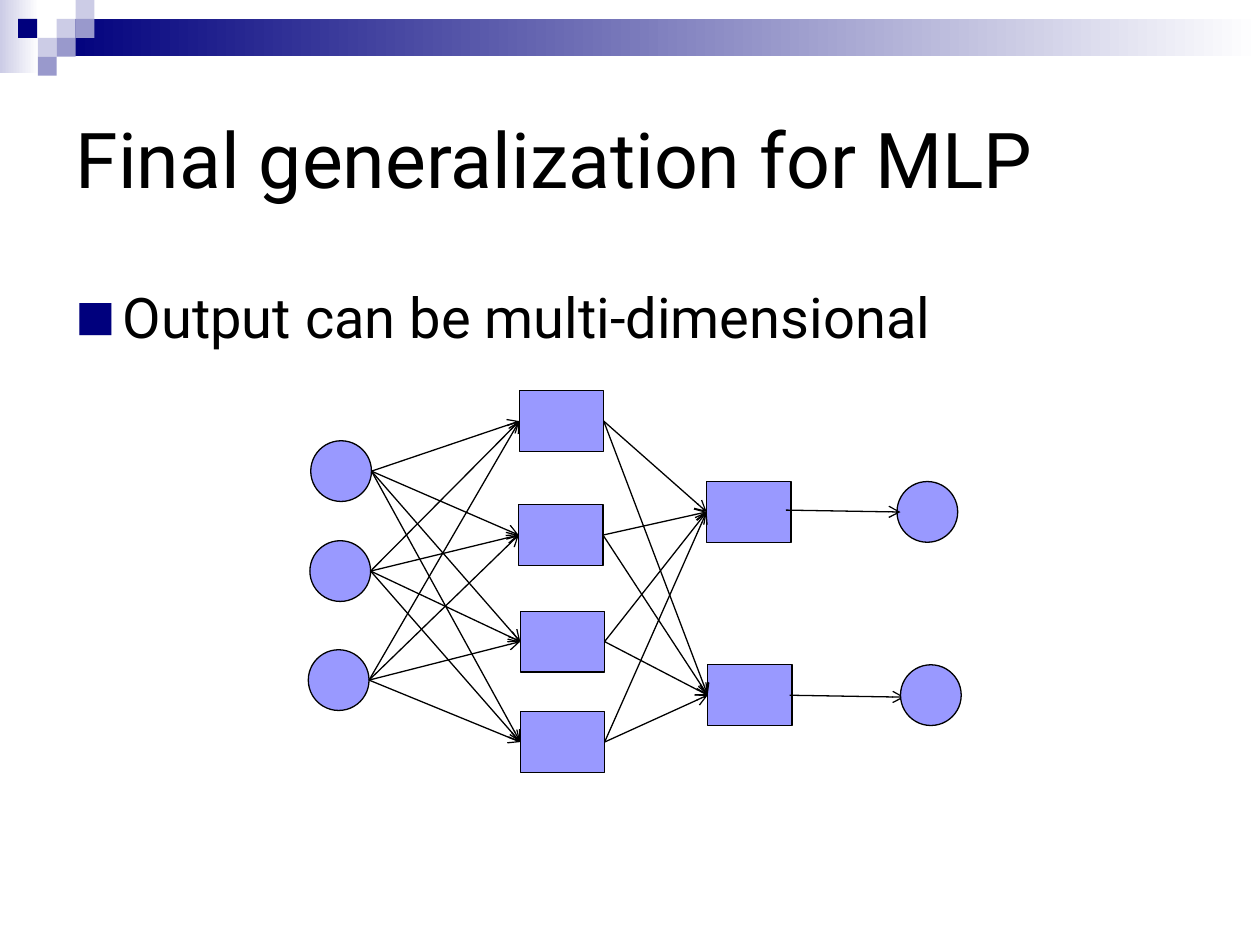
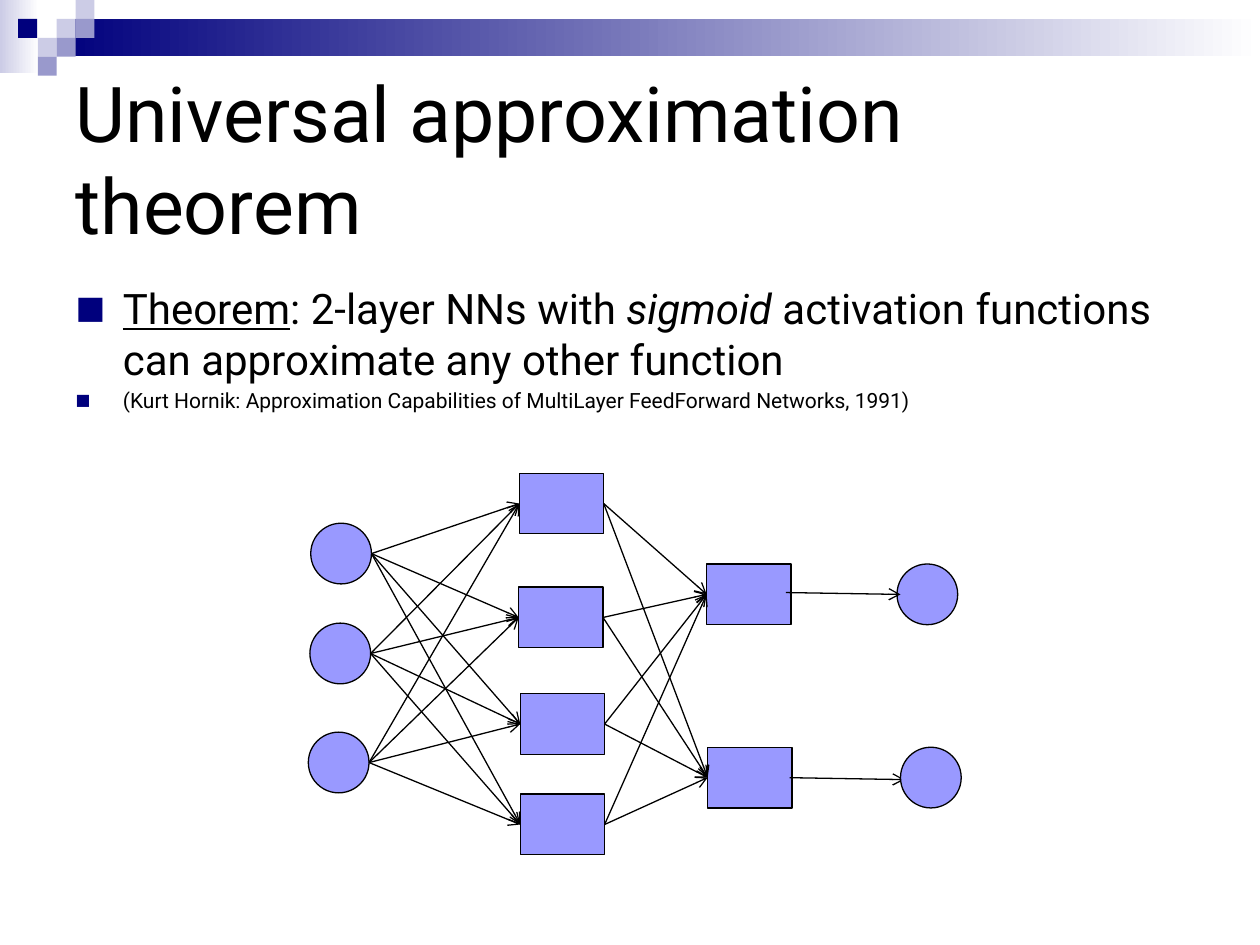
from lxml import etree
from pptx import Presentation
from pptx import util as u
from pptx.dml.color import RGBColor
from pptx.enum import shapes as kinds, text as txt
from pptx.oxml import ns

FONT = "Roboto"
BLACK, NAVY, PALE, MID, WHITE = "000000", "00007D", "CCCCE6", "9999CC", "FFFFFF"
NODE = "9999FF"
RECT, OVAL = kinds.MSO_SHAPE.RECTANGLE, kinds.MSO_SHAPE.OVAL
TOP, LEFT, RIGHT = 0, 1, 3
CELL = 10.8
CELLS = [(32.4, 10.8, PALE), (43.2, 0, PALE), (43.2, 10.8, MID), (21.6, 21.6, PALE),
         (10.4, 10.8, NAVY), (32.4, 21.6, MID), (21.6, 32.4, MID)]
DISC = 34.7
BOX_W, BOX_H = 48.2, 34.7
INPUTS = [(1.4, 28.6), (0.9, 85.7), (0, 148)]
HIDDEN = [(120.6, 0), (120.2, 65.1), (121.1, 126), (121.1, 183.4)]
FINAL = [(227.6, 51.9), (228.2, 156.6)]
OUTPUTS = [(336.4, 51.9), (338.4, 156.6)]
LINKS = [(272.9, 68.2, 338.4, 69.3), (275, 174, 340.6, 175.1)]


def hue(code):
    """Turn a hex string into a colour."""
    return RGBColor.from_string(code)


def add(parent, kind, x, y, wide, high, fill=None):
    """Add a flat shape without an outline."""
    shape = parent.shapes.add_shape(kind, u.Pt(x), u.Pt(y), u.Pt(wide), u.Pt(high))
    shape.shadow.inherit = False
    shape.line.fill.background()
    if fill:
        shape.fill.solid()
        shape.fill.fore_color.rgb = hue(fill)
    return shape


def fade(shape, start):
    """Fill a shape with a fade from a colour to white."""
    shape.fill.gradient()
    shape.fill.gradient_angle = 0
    for stop, code in zip(shape.fill.gradient_stops, (start, WHITE)):
        stop.color.rgb = hue(code)


def add_band(deck, slide):
    """Build the top band and move it to the master."""
    group = slide.shapes.add_group_shape()
    fade(add(group, RECT, 0, 0, 22.3, 41.8), PALE)
    fade(add(group, RECT, 32.4, 10.8, 687.6, 21.4), NAVY)
    for x, y, code in CELLS:
        add(group, RECT, x, y, CELL, CELL, code)
    deck.slide_master.shapes.element.insert(2, group.element)


def place(holder, x, y, wide, high):
    """Move a placeholder and return its text frame."""
    holder.left, holder.top = u.Pt(x), u.Pt(y)
    holder.width, holder.height = u.Pt(wide), u.Pt(high)
    frame = holder.text_frame
    frame.word_wrap = True
    frame.auto_size = txt.MSO_AUTO_SIZE.NONE
    return frame


def style(run, size):
    """Give a run the deck font."""
    run.font.name, run.font.size = FONT, u.Pt(size)
    run.font.color.rgb = hue(BLACK)


def bullet(para):
    """Give a paragraph a hanging navy square."""
    props = para._p.get_or_add_pPr()
    props.set("marL", str(u.Pt(27)))
    props.set("indent", str(u.Pt(-27)))
    tint = etree.SubElement(props, ns.qn("a:buClr"))
    etree.SubElement(tint, ns.qn("a:srgbClr"), val=NAVY)
    etree.SubElement(props, ns.qn("a:buSzPct"), val="75000")
    etree.SubElement(props, ns.qn("a:buFont"), typeface=FONT)
    etree.SubElement(props, ns.qn("a:buChar"), char="■")


def add_title(slide, words):
    """Fill the title placeholder."""
    frame = place(slide.shapes.title, 36, 36, 648, 108)
    frame.text = words
    frame.vertical_anchor = txt.MSO_ANCHOR.MIDDLE
    para = frame.paragraphs[0]
    para.alignment = txt.PP_ALIGN.LEFT
    style(para.runs[0], 44)


def add_list(slide, items):
    """Fill the body with (size, [(words, look)]) items."""
    frame = place(slide.placeholders[1], 36, 158, 648, 102)
    for i, (size, parts) in enumerate(items):
        para = frame.add_paragraph() if i else frame.paragraphs[0]
        bullet(para)
        para.space_before = u.Pt(0.2 * size if i else 0)
        for words, look in parts:
            run = para.add_run()
            run.text = words
            style(run, size)
            run.font.underline = look == "under"
            run.font.italic = look == "slant"


def add_node(slide, kind, x, y):
    """Add an outlined network node."""
    wide, high = (DISC, DISC) if kind == OVAL else (BOX_W, BOX_H)
    node = add(slide, kind, x, y, wide, high, NODE)
    node.line.color.rgb = hue(BLACK)
    node.line.width = u.Pt(0.75)
    return node


def add_arrow(slide, x, y, end_x, end_y):
    """Add a thin arrow between two points."""
    arrow = slide.shapes.add_connector(
        kinds.MSO_CONNECTOR.STRAIGHT, u.Pt(x), u.Pt(y), u.Pt(end_x), u.Pt(end_y))
    arrow.line.color.rgb = hue(BLACK)
    arrow.line.width = u.Pt(0.75)
    props = arrow.element.spPr
    etree.SubElement(props.find(ns.qn("a:ln")), ns.qn("a:tailEnd"), type="arrow")
    etree.SubElement(props, ns.qn("a:effectLst"))
    return arrow


def add_net(slide, left, top):
    """Draw the two-layer network from its top left corner."""
    def layer(kind, spots):
        """Add the nodes of one layer."""
        return [add_node(slide, kind, left + x, top + y) for x, y in spots]

    def link(x, y, end_x, end_y):
        """Add an arrow within the network."""
        add_arrow(slide, left + x, top + y, left + end_x, top + end_y)

    layer(OVAL, INPUTS)
    hidden, final = layer(RECT, HIDDEN), layer(RECT, FINAL)
    for x, y in INPUTS:
        start = left + x + DISC, top + y + DISC / 2
        for node in hidden:
            add_arrow(slide, *start, *start).end_connect(node, LEFT)
    for node in hidden:
        for goal in final:
            arrow = add_arrow(slide, left, top, left, top)
            arrow.begin_connect(node, RIGHT)
            arrow.end_connect(goal, LEFT)
    layer(OVAL, OUTPUTS[:1])
    for ends in LINKS:
        link(*ends)
    layer(OVAL, OUTPUTS[1:])


def add_page(deck, title, items, net_top):
    """Add a slide with a title, a list and the network."""
    slide = deck.slides.add_slide(deck.slide_layouts[1])
    add_title(slide, title)
    add_list(slide, items)
    add_net(slide, 176.2, net_top)
    return slide


def main():
    """Build and save the deck."""
    deck = Presentation()
    deck.slide_width, deck.slide_height = u.Pt(720), u.Pt(540)
    first = add_page(deck, "Final generalization for MLP",
                     [(32, [("Output can be multi-dimensional", "")])], 223.3)
    add_band(deck, first)
    theorem = [("Theorem", "under"), (": 2-layer NNs with ", ""), ("sigmoid", "slant"),
               (" activation functions can approximate any other function", "")]
    source = [("(Kurt Hornik: Approximation Capabilities of MultiLayer "
               "FeedForward Networks, 1991)", "")]
    add_page(deck, "Universal approximation theorem",
             [(24, theorem), (12, source)], 270.4)
    deck.save("out.pptx")


if __name__ == "__main__":
    main()
